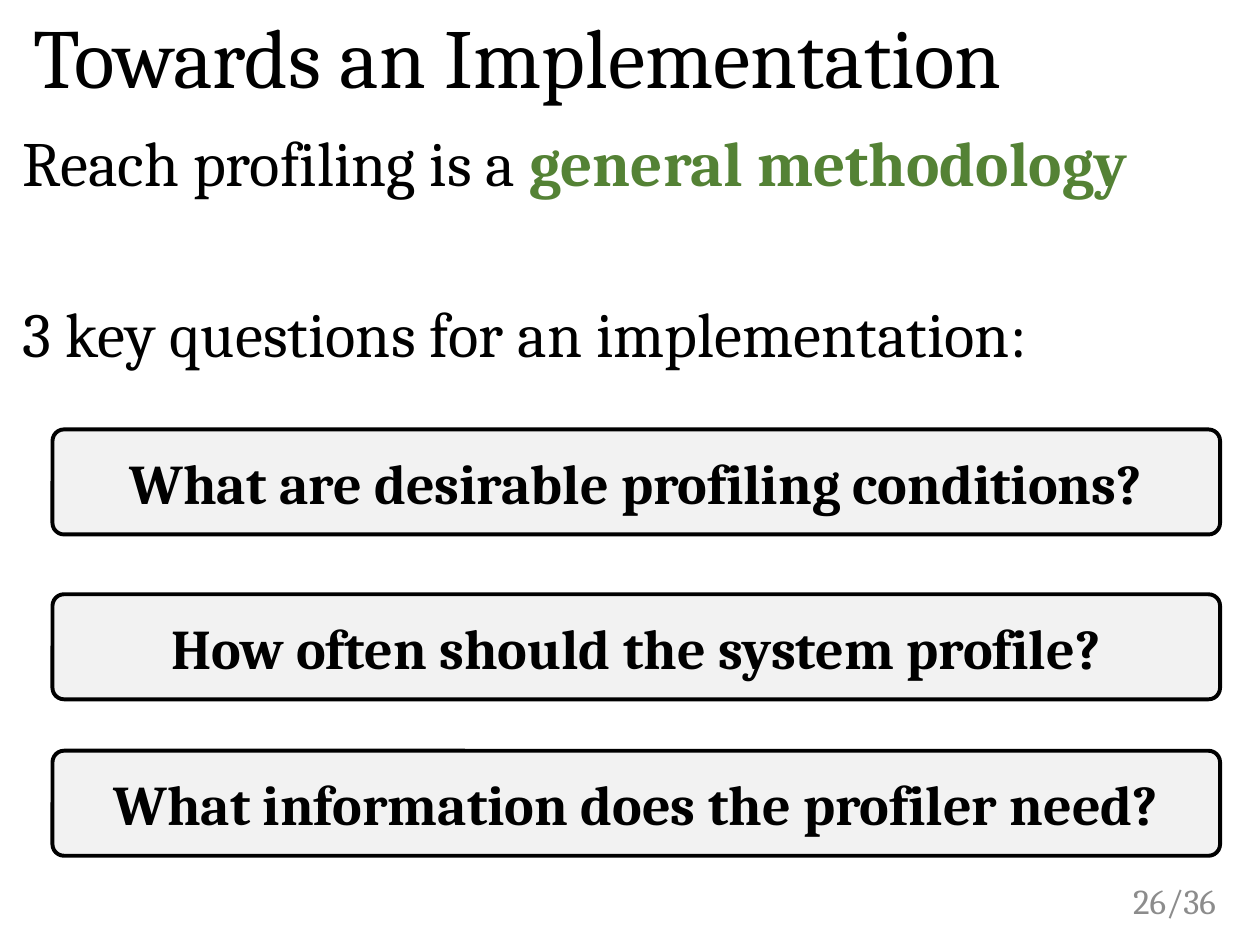
from pptx import Presentation
from pptx.dml.color import RGBColor as RGB
from pptx.enum.shapes import MSO_SHAPE as Kind
from pptx.enum.text import MSO_ANCHOR as Anchor, MSO_AUTO_SIZE as Fit, PP_ALIGN as Align
from pptx.util import Inches, Pt

BLACK = RGB(0, 0, 0)
GREEN = RGB(0x54, 0x82, 0x35)
GRAY = RGB(0x8C, 0x8C, 0x8C)
PALE = RGB(0xF2, 0xF2, 0xF2)
COLS, ROWS = 120, 90
TITLE_ONLY = 5


class Deck:
    face = "Cambria"

    def __init__(self):
        self.show = Presentation()
        self.show.slide_width = Inches(10)
        self.show.slide_height = Inches(7.5)
        layout = self.show.slide_layouts[TITLE_ONLY]
        self.slide = self.show.slides.add_slide(layout)

    def area(self, col, row, wide, high):
        unit = self.show.slide_width / COLS
        step = self.show.slide_height / ROWS
        return [round(n) for n in (col * unit, row * step, wide * unit, high * step)]

    def apply(self, item, style):
        for name, value in style.items():
            setattr(item, name, value)

    def label(self, shape, paras, size, anchor, style):
        frame = shape.text_frame
        self.apply(frame, dict(word_wrap=True, auto_size=Fit.NONE, vertical_anchor=anchor))
        for i, (runs, gap) in enumerate(paras):
            para = frame.add_paragraph() if i else frame.paragraphs[0]
            self.apply(para, dict(style, space_before=Pt(gap)))
            for text, color, bold in runs:
                run = para.add_run()
                run.text = text
                self.apply(run.font, dict(name=self.face, size=Pt(size), bold=bold))
                run.font.color.rgb = color

    def title(self, text, *grid):
        shape = self.slide.shapes.title
        self.apply(shape, dict(zip(("left", "top", "width", "height"), self.area(*grid))))
        style = dict(alignment=Align.LEFT, line_spacing=0.9)
        self.label(shape, [([(text, BLACK, False)], 0)], 48, Anchor.BOTTOM, style)

    def text(self, paras, size, anchor, style, *grid):
        shape = self.slide.shapes.add_textbox(*self.area(*grid))
        self.label(shape, paras, size, anchor, style)

    def card(self, text, *grid):
        shape = self.slide.shapes.add_shape(Kind.ROUNDED_RECTANGLE, *self.area(*grid))
        shape.adjustments[0] = 0.11
        shape.shadow.inherit = False
        shape.fill.solid()
        shape.fill.fore_color.rgb = PALE
        shape.line.color.rgb = BLACK
        shape.line.width = Pt(2.25)
        style = dict(alignment=Align.CENTER)
        self.label(shape, [([(text, BLACK, True)], 0)], 32, Anchor.MIDDLE, style)


def main():
    deck = Deck()
    deck.title("Towards an Implementation", 2, 0.8, 116, 10)
    intro = [("Reach profiling is a ", BLACK, False), ("general methodology", GREEN, True)]
    lead = [("3 key questions for an implementation:", BLACK, False)]
    deck.text([(intro, 0), (lead, 59)], 36, Anchor.TOP, dict(line_spacing=0.9),
              1, 12, 118, 25.4)
    cards = {
        "What are desirable profiling conditions?": 40.9,
        "How often should the system profile?": 56.6,
        "What information does the profiler need?": 71.5,
    }
    for text, row in cards.items():
        deck.card(text, 5, row, 111.2, 10)
    deck.text([([("26/36", GRAY, False)], 0)], 20, Anchor.MIDDLE,
              dict(alignment=Align.RIGHT), 104, 83.4, 13, 4.8)
    deck.show.save("out.pptx")


if __name__ == "__main__":
    main()
